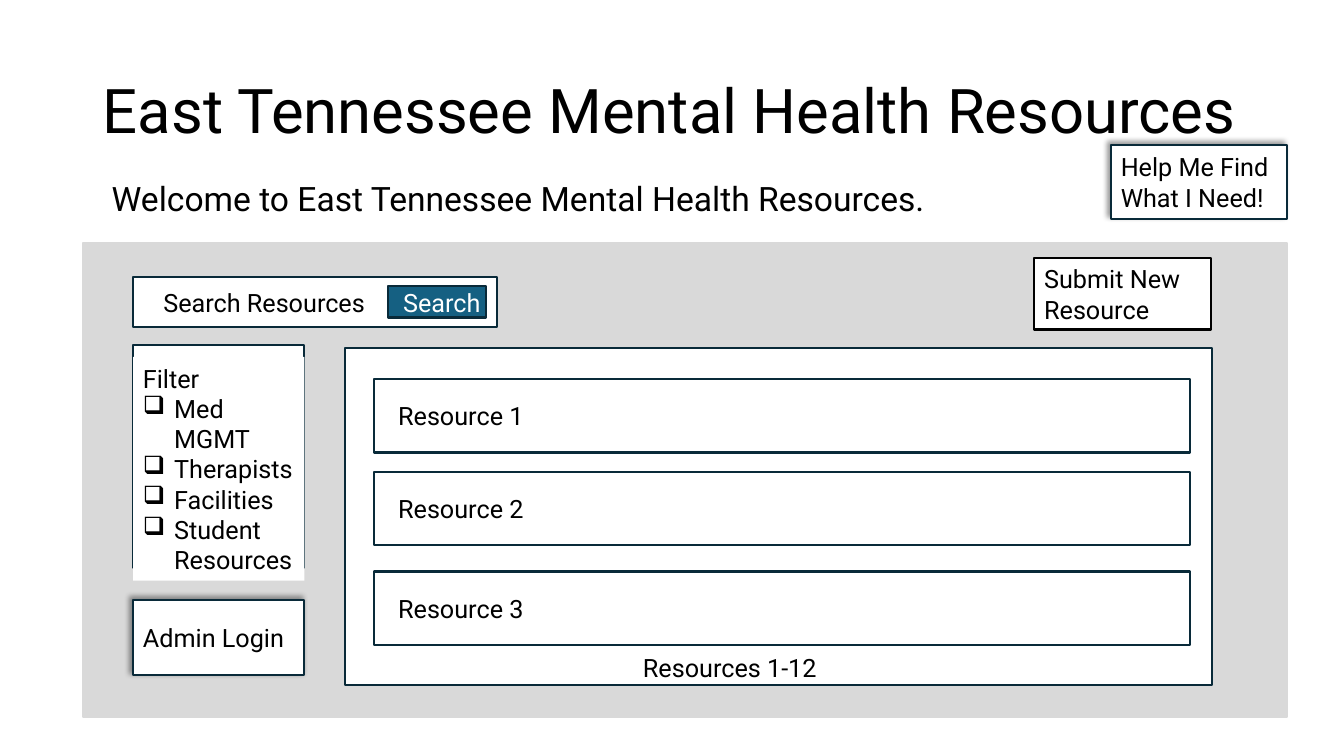
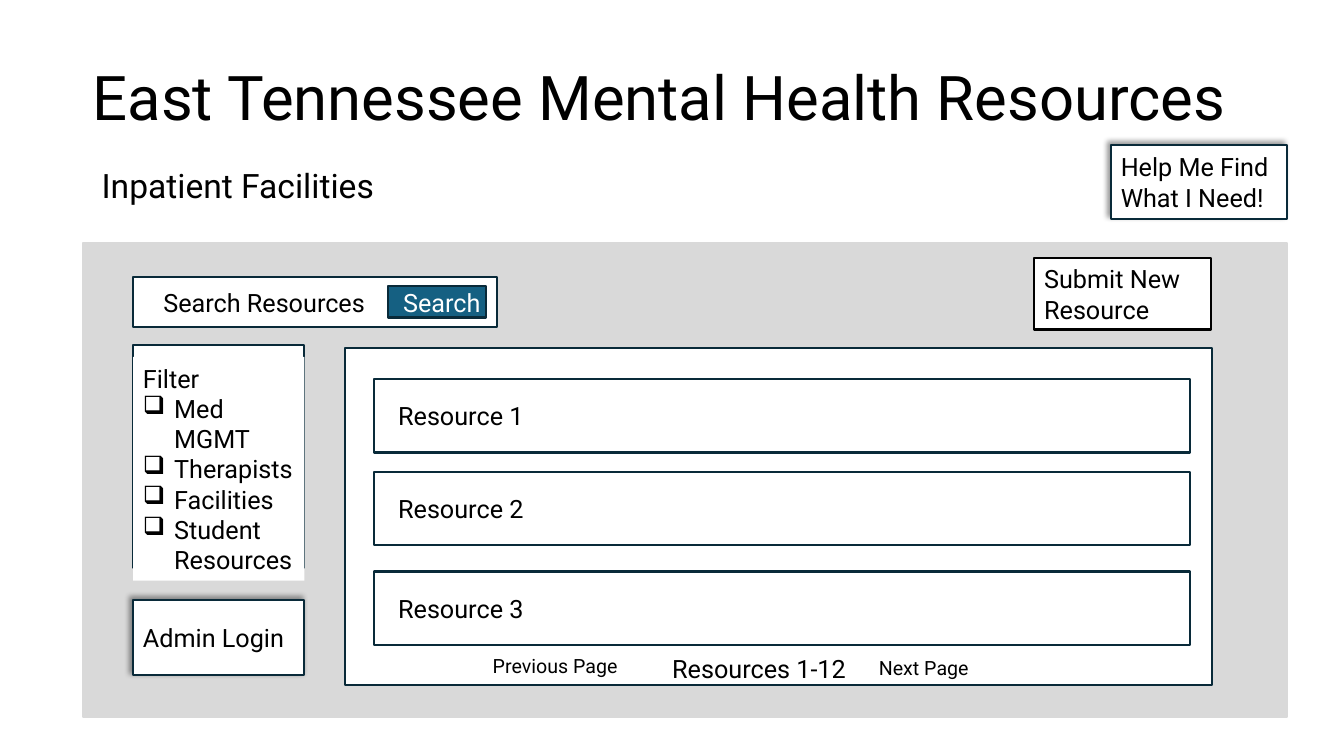
from dataclasses import dataclass

from lxml.etree import SubElement
from pptx import Presentation
from pptx.dml.color import RGBColor
from pptx.enum.shapes import MSO_SHAPE
from pptx.enum.text import MSO_ANCHOR as Anchor, MSO_AUTO_SIZE as AutoSize, PP_ALIGN as Align
from pptx.oxml.ns import qn
from pptx.util import Inches, Pt


@dataclass(frozen=True)
class Theme:
    """Colours, type sizes and measures shared by all slides."""
    font: str = "Roboto"
    ink: str = "000000"
    paper: str = "FFFFFF"
    canvas: str = "D9D9D9"
    outline: str = "092A39"
    accent: str = "156082"
    title: int = 44
    subtitle: int = 24
    body: int = 18
    small: int = 14
    stroke: float = 1.5
    cell: float = 0.1
    inset: float = 1


THEME = Theme()


@dataclass(frozen=True)
class Box:
    """A rectangle measured in grid cells."""
    left: float
    top: float
    width: float
    height: float

    def inner(self, left, top, width, height):
        """Return a box whose origin is relative to this one."""
        return Box(self.left + left, self.top + top, width, height)

    def place(self):
        """Return left, top, width and height as slide lengths."""
        return [cells(value) for value in (self.left, self.top, self.width, self.height)]


SLIDE = Box(0, 0, 133.33, 75)
CANVAS = SLIDE.inner(8.2, 24.1, 119.5, 47)
HELP = SLIDE.inner(110.2, 14.4, 17.5, 7.3)
SEARCH = CANVAS.inner(5, 3.4, 36.1, 4.9)
SUBMIT = CANVAS.inner(94.4, 1.5, 17.5, 7.1)
FILTER = CANVAS.inner(5, 10.1, 17, 22.1)
LOGIN = CANVAS.inner(5, 35.4, 17, 7.5)
RESULTS = CANVAS.inner(26, 10.4, 86, 33.5)
ROW_TOPS = (3.1, 12.3, 22.2)
FILTERS = ("Med MGMT", "Therapists", "Facilities", "Student Resources")


def cells(count):
    """Convert grid cells to a length."""
    return Inches(count * THEME.cell)


def rgb(colour):
    """Convert a hex string to a colour."""
    return RGBColor.from_string(colour)


def write(shape, text, size=THEME.body, colour=THEME.ink, anchor=Anchor.MIDDLE, inset=THEME.inset):
    """Put left-aligned text in a shape and format its runs."""
    frame = shape.text_frame
    frame.text = text
    frame.word_wrap = True
    frame.auto_size = AutoSize.NONE
    frame.vertical_anchor = anchor
    frame.margin_left = cells(inset)
    frame.margin_right = cells(min(inset, THEME.inset))
    for paragraph in frame.paragraphs:
        paragraph.alignment = Align.LEFT
        for run in paragraph.runs:
            run.font.name = THEME.font
            run.font.size = Pt(size)
            run.font.color.rgb = rgb(colour)
    return frame


def panel(slide, box, fill=THEME.paper, line=THEME.outline):
    """Draw a flat rectangle, outlined unless line is None."""
    shape = slide.shapes.add_shape(MSO_SHAPE.RECTANGLE, *box.place())
    shape.shadow.inherit = False
    shape.fill.solid()
    shape.fill.fore_color.rgb = rgb(fill)
    if line is None:
        shape.line.fill.background()
    else:
        shape.line.color.rgb = rgb(line)
        shape.line.width = Pt(THEME.stroke)
    return shape


def label(slide, box, text, size=THEME.body):
    """Add a free-standing line of text."""
    write(slide.shapes.add_textbox(*box.place()), text, size, anchor=Anchor.TOP)


def raised_button(slide, box, text):
    """Draw a button that casts a shadow to the upper left."""
    shape = panel(slide, box)
    effects = shape.element.spPr.find(qn("a:effectLst"))
    shadow = SubElement(effects, qn("a:outerShdw"), blurRad=str(Pt(4)), dist=str(Pt(3)),
                        dir=str(225 * 60000), algn="br", rotWithShape="0")
    colour = SubElement(shadow, qn("a:srgbClr"), val=THEME.ink)
    SubElement(colour, qn("a:alpha"), val="40000")
    write(shape, text)


def header(slide, box, subtitle):
    """Place the title and the line of text below it."""
    title = slide.shapes.title
    title.left, title.top, title.width, title.height = box.place()
    frame = write(title, "East Tennessee Mental Health Resources", THEME.title)
    frame.paragraphs[0].line_spacing = 0.9
    label(slide, box.inner(0.9, 13.2, 102.4, 5), subtitle, THEME.subtitle)


def search_bar(slide, box):
    """Draw the search field with its button."""
    write(panel(slide, box), "Search Resources", inset=3)
    button = panel(slide, box.inner(25.3, 0.9, 9.7, 3.1), THEME.accent)
    frame = write(button, "Search", colour=THEME.paper, inset=1.5)
    frame.margin_right = frame.margin_top = frame.margin_bottom = 0


def filter_list(slide, box):
    """Draw the filter panel and its checkbox list."""
    panel(slide, box)
    sheet = panel(slide, box.inner(0, 1.2, box.width, 22.2), line=None)
    frame = write(sheet, "\n".join(("Filter", *FILTERS)))
    for paragraph in frame.paragraphs[1:]:
        properties = paragraph.runs[0].font and paragraph._p.get_or_add_pPr()
        properties.set("marL", str(cells(3.1)))
        properties.set("indent", str(-cells(3.1)))
        SubElement(properties, qn("a:buChar"), char="❑")


def results(slide, box, pager):
    """Draw the resource rows and the paging labels."""
    panel(slide, box)
    for number, top in enumerate(ROW_TOPS, 1):
        write(panel(slide, box.inner(2.9, top, 81, 7.3)), f"Resource {number}", inset=2.4)
    for text, left, top, width, size in pager:
        label(slide, box.inner(left, top, width, 4), text, size)


def resource_page(presentation, heading, subtitle, pager):
    """Build one page of the resource site."""
    slide = presentation.slides.add_slide(presentation.slide_layouts[5])
    header(slide, heading, subtitle)
    panel(slide, CANVAS, THEME.canvas, THEME.canvas)
    search_bar(slide, SEARCH)
    filter_list(slide, FILTER)
    results(slide, RESULTS, pager)
    write(panel(slide, SUBMIT, line=THEME.ink), "Submit New\nResource")
    raised_button(slide, HELP, "Help Me Find What I Need!")
    raised_button(slide, LOGIN, "Admin Login")


def main():
    """Build and save the presentation."""
    presentation = Presentation()
    presentation.slide_width = cells(SLIDE.width)
    presentation.slide_height = cells(SLIDE.height)
    resource_page(presentation, SLIDE.inner(9.2, 4, 115, 14.5),
                  "Welcome to East Tennessee Mental Health Resources.",
                  [("Resources 1-12", 28.6, 29.7, 26, THEME.body)])
    resource_page(presentation, SLIDE.inner(8.2, 2.7, 115, 14.5),
                  "Inpatient Facilities",
                  [("Previous Page", 13.7, 29.9, 16.4, THEME.small),
                   ("Resources 1-12", 31.5, 29.8, 26, THEME.body),
                   ("Next Page", 52, 30.1, 16.4, THEME.small)])
    presentation.save("out.pptx")


if __name__ == "__main__":
    main()
